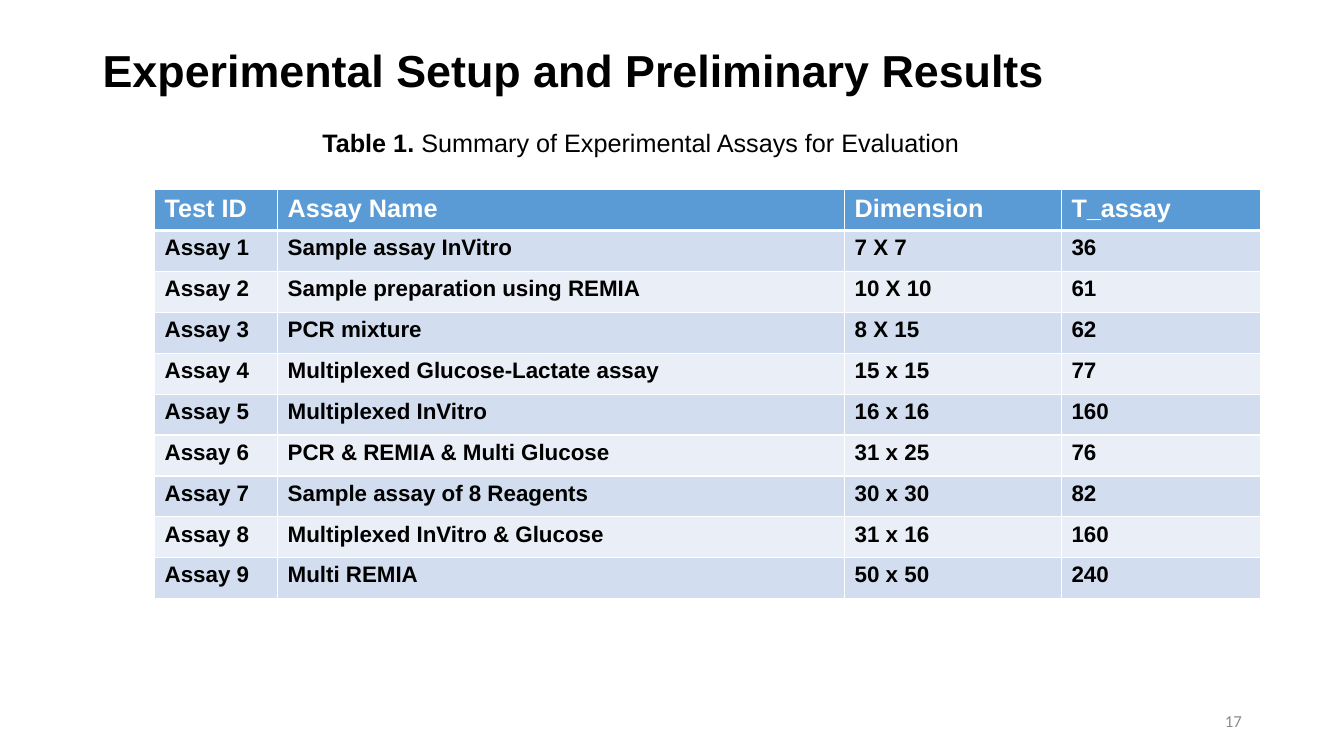
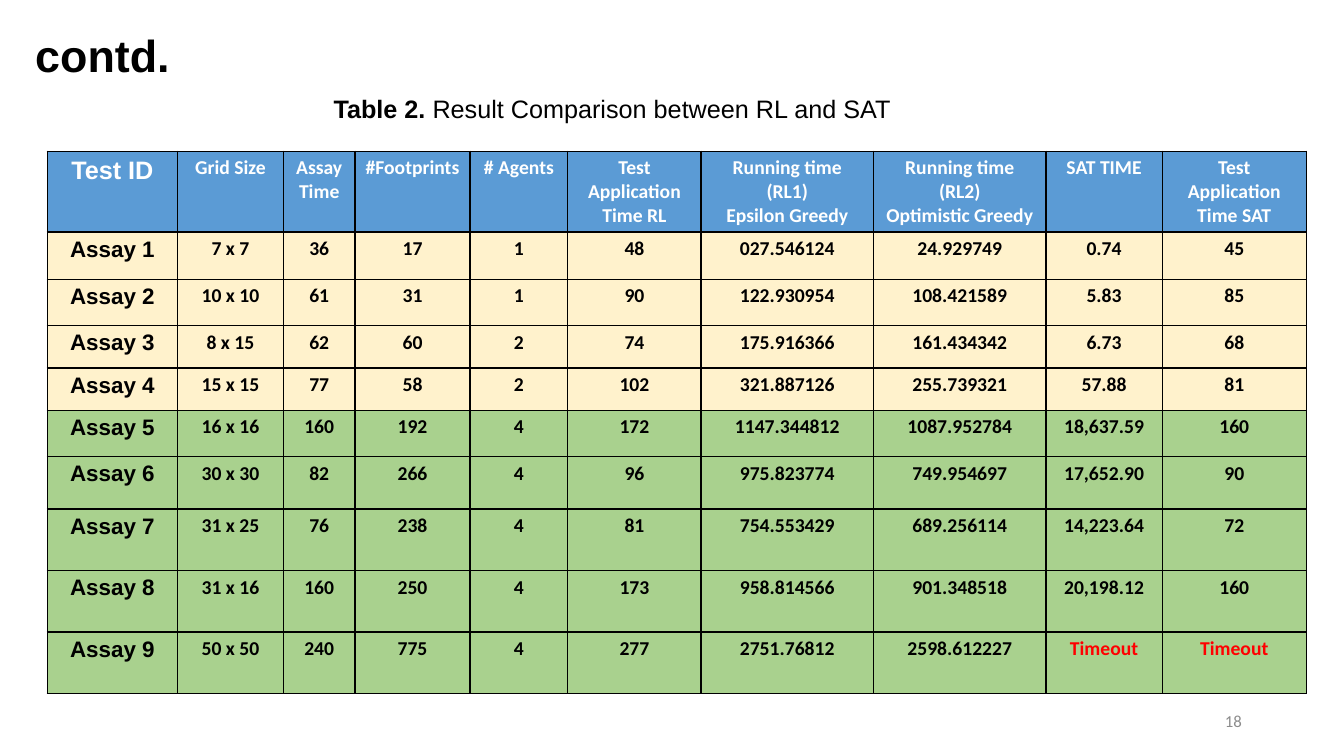
from dataclasses import dataclass
from typing import NamedTuple

from lxml import etree
from pptx import Presentation, util as u
from pptx.dml.color import RGBColor
from pptx.enum import text
from pptx.oxml.ns import qn

WIDTH, HEIGHT = u.Inches(13.33), u.Inches(7.5)
BLACK, WHITE, GREY, RED = "000000", "FFFFFF", "8C8C8C", "FF0000"
BLUE, PALE_BLUE, PALER_BLUE = "5B9BD5", "D2DEEF", "EAEFF7"
CREAM, GREEN = "FFF2CC", "A9D18E"
LEFT, CENTER, RIGHT = text.PP_ALIGN.LEFT, text.PP_ALIGN.CENTER, text.PP_ALIGN.RIGHT


class Box(NamedTuple):
    """A rectangle in percent of the slide's width and height."""
    left: float
    top: float
    width: float
    height: float

    def emu(self) -> tuple[int, ...]:
        sides = (WIDTH, HEIGHT, WIDTH, HEIGHT)
        return tuple(round(share * side / 100) for share, side in zip(self, sides))


class Face(NamedTuple):
    font: str
    size: int


@dataclass
class Grid:
    box: Box
    columns: list[int]
    heights: list[int]
    fills: list[str]
    header: list[str]
    rows: list[list[str]]
    key_face: Face
    header_face: Face
    body_face: Face
    border: str
    header_rule: int
    align: text.PP_ALIGN


@dataclass
class Page:
    number: int
    title: str
    title_box: Box
    label: str
    caption: str
    caption_box: Box
    grid: Grid


NUMBER_BOX = Box(70.65, 92.67, 22.5, 5.33)
KEY_HEADER = Face("Arial", 18)
KEY = Face("Arial", 16)
VALUE = Face("Calibri", 14)


def table_rows(block: str) -> list[list[str]]:
    """Split lines into cells at the bars and number the assays."""
    return [[f"Assay {i}", *(cell.strip() for cell in line.split("|"))]
            for i, line in enumerate(block.strip().splitlines(), 1)]


ASSAYS = table_rows("""
Sample assay InVitro | 7 X 7 | 36
Sample preparation using REMIA | 10 X 10 | 61
PCR mixture | 8 X 15 | 62
Multiplexed Glucose-Lactate assay | 15 x 15 | 77
Multiplexed InVitro | 16 x 16 | 160
PCR & REMIA & Multi Glucose | 31 x 25 | 76
Sample assay of 8 Reagents | 30 x 30 | 82
Multiplexed InVitro & Glucose | 31 x 16 | 160
Multi REMIA | 50 x 50 | 240
""")

RESULTS = table_rows("""
7 x 7 | 36 | 17 | 1 | 48 | 027.546124 | 24.929749 | 0.74 | 45
10 x 10 | 61 | 31 | 1 | 90 | 122.930954 | 108.421589 | 5.83 | 85
8 x 15 | 62 | 60 | 2 | 74 | 175.916366 | 161.434342 | 6.73 | 68
15 x 15 | 77 | 58 | 2 | 102 | 321.887126 | 255.739321 | 57.88 | 81
16 x 16 | 160 | 192 | 4 | 172 | 1147.344812 | 1087.952784 | 18,637.59 | 160
30 x 30 | 82 | 266 | 4 | 96 | 975.823774 | 749.954697 | 17,652.90 | 90
31 x 25 | 76 | 238 | 4 | 81 | 754.553429 | 689.256114 | 14,223.64 | 72
31 x 16 | 160 | 250 | 4 | 173 | 958.814566 | 901.348518 | 20,198.12 | 160
50 x 50 | 240 | 775 | 4 | 277 | 2751.76812 | 2598.612227 | Timeout | Timeout
""")

PAGES = [
    Page(
        17, "Experimental Setup and Preliminary Results", Box(6.9, 0, 86.25, 19.33),
        "Table 1. ", "Summary of Experimental Assays for Evaluation",
        Box(23.25, 16.13, 51.15, 5.33),
        Grid(
            box=Box(11.5, 25.07, 82.27, 54.13),
            columns=[122, 562, 215, 197],
            heights=[1] * 10,
            fills=[PALE_BLUE, PALER_BLUE] * 4 + [PALE_BLUE],
            header=["Test ID", "Assay Name", "Dimension", "T_assay"],
            rows=ASSAYS,
            key_face=KEY, header_face=KEY_HEADER, body_face=KEY,
            border=WHITE, header_rule=3, align=LEFT,
        ),
    ),
    Page(
        18, "contd.", Box(1.88, 2.53, 86.25, 10.27),
        "Table 2. ", "Result Comparison between RL and SAT",
        Box(24.08, 11.73, 43.8, 5.33),
        Grid(
            box=Box(3.52, 20, 93.7, 71.6),
            columns=[129, 105, 71, 114, 97, 132, 171, 171, 115, 143],
            heights=[79, 47, 46, 42, 42, 46, 52, 61, 61, 61],
            fills=[CREAM] * 4 + [GREEN] * 5,
            header=["Test ID", "Grid Size", "Assay Time", "#Footprints", "# Agents",
                    "Test Application Time RL", "Running time (RL1)\nEpsilon Greedy",
                    "Running time (RL2)\nOptimistic Greedy", "SAT TIME",
                    "Test Application Time SAT"],
            rows=RESULTS,
            key_face=KEY, header_face=VALUE, body_face=VALUE,
            border=BLACK, header_rule=1, align=CENTER,
        ),
    ),
]


def rgb(value: str) -> RGBColor:
    return RGBColor.from_string(value)


def write(p, content: str, *, face: Face, color: str = BLACK, bold: bool = False,
          align: text.PP_ALIGN = LEFT, spacing: float = 1.0) -> None:
    """Add a formatted run to a paragraph."""
    p.alignment, p.line_spacing = align, spacing
    r = p.add_run()
    r.text = content
    r.font.name, r.font.size, r.font.bold = face.font, u.Pt(face.size), bold
    r.font.color.rgb = rgb(color)


def text_frame(s, box: Box, *, anchor: text.MSO_ANCHOR = text.MSO_ANCHOR.MIDDLE,
               wrap: bool = True):
    tf = s.shapes.add_textbox(*box.emu()).text_frame
    tf.word_wrap, tf.vertical_anchor = wrap, anchor
    return tf


def set_borders(cell, color: str, *, top: int = 1, bottom: int = 1) -> None:
    """Draw the four cell edges, with widths in points."""
    tc_pr = cell._tc.get_or_add_tcPr()
    for edge, points in (("L", 1), ("R", 1), ("T", top), ("B", bottom)):
        line = etree.SubElement(tc_pr, qn(f"a:ln{edge}"), w=str(u.Pt(points)))
        fill = etree.SubElement(line, qn("a:solidFill"))
        etree.SubElement(fill, qn("a:srgbClr"), val=color)


def shares(total: int, weights: list[int]) -> list[int]:
    return [round(total * weight / sum(weights)) for weight in weights]


def draw_grid(s, grid: Grid) -> None:
    left, top, width, height = grid.box.emu()
    table = s.shapes.add_table(len(grid.heights), len(grid.columns),
                               left, top, width, height).table
    for column, size in zip(table.columns, shares(width, grid.columns)):
        column.width = size
    for row, size in zip(table.rows, shares(height, grid.heights)):
        row.height = size

    fills = [BLUE, *grid.fills]
    for i, values in enumerate([grid.header, *grid.rows]):
        for j, value in enumerate(values):
            cell = table.cell(i, j)
            set_borders(cell, grid.border,
                        top=grid.header_rule if i == 1 else 1,
                        bottom=grid.header_rule if i == 0 else 1)
            cell.fill.solid()
            cell.fill.fore_color.rgb = rgb(fills[i])
            if i == 0:
                face, color = (grid.header_face if j else KEY_HEADER), WHITE
            else:
                face = grid.body_face if j else grid.key_face
                color = RED if value == "Timeout" else BLACK
            tf = cell.text_frame
            for k, line in enumerate(value.split("\n")):
                p = tf.add_paragraph() if k else tf.paragraphs[0]
                write(p, line, face=face, color=color, bold=True, align=grid.align)


def draw_page(prs, page: Page) -> None:
    s = prs.slides.add_slide(prs.slide_layouts[6])
    title = text_frame(s, page.title_box).paragraphs[0]
    write(title, page.title, face=Face("Arial", 32), bold=True, spacing=0.9)

    caption = text_frame(s, page.caption_box, anchor=text.MSO_ANCHOR.TOP,
                         wrap=False).paragraphs[0]
    write(caption, page.label, face=KEY_HEADER, bold=True)
    write(caption, page.caption, face=KEY_HEADER)

    draw_grid(s, page.grid)
    number = text_frame(s, NUMBER_BOX).paragraphs[0]
    write(number, str(page.number), face=Face("Calibri", 12), color=GREY, align=RIGHT)


def main() -> None:
    prs = Presentation()
    prs.slide_width, prs.slide_height = WIDTH, HEIGHT
    for page in PAGES:
        draw_page(prs, page)
    prs.save("out.pptx")


if __name__ == "__main__":
    main()
